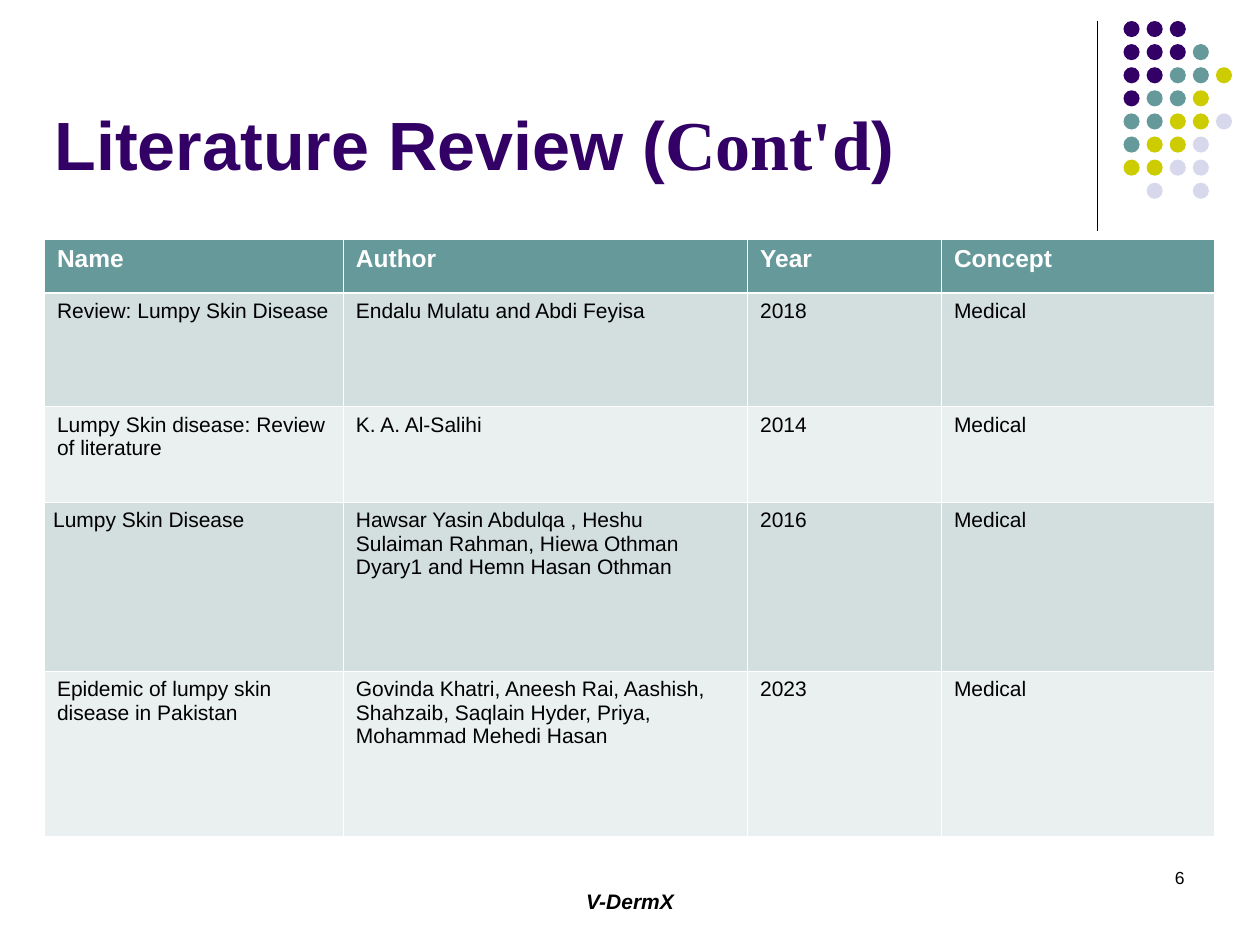
"""Build the literature review table slide."""
from lxml.etree import SubElement
from pptx import Presentation
from pptx.dml.color import RGBColor
from pptx.enum.shapes import MSO_CONNECTOR as Connector, MSO_SHAPE as Shape
from pptx.enum.text import MSO_ANCHOR as Anchor, MSO_AUTO_SIZE as AutoSize, PP_ALIGN as Align
from pptx.oxml.ns import qn
from pptx.util import Pt

PURPLE = RGBColor(0x33, 0x00, 0x66)
TEAL = RGBColor(0x66, 0x99, 0x99)
OLIVE = RGBColor(0xCC, 0xCC, 0x00)
LAVENDER = RGBColor(0xD8, 0xD8, 0xEC)
BAND_DARK = RGBColor(0xD3, 0xDE, 0xDE)
BAND_LIGHT = RGBColor(0xEA, 0xEF, 0xEF)
BLACK = RGBColor(0x00, 0x00, 0x00)
WHITE = RGBColor(0xFF, 0xFF, 0xFF)


def add_run(paragraph, text, color, **formats):
    run = paragraph.add_run()
    run.text = text
    run.font.color.rgb = color
    for name, value in {"name": "Arial", **formats}.items():
        setattr(run.font, name, value)


def add_border(cell, side, width):
    line = SubElement(cell._tc.get_or_add_tcPr(), qn(f"a:ln{side}"), w=str(Pt(width)))
    fill = SubElement(line, qn("a:solidFill"))
    SubElement(fill, qn("a:srgbClr"), val=str(WHITE))


presentation = Presentation()
presentation.slide_width, presentation.slide_height = Pt(720), Pt(540)
slide = presentation.slides.add_slide(presentation.slide_layouts[5])

divider = slide.shapes.add_connector(Connector.STRAIGHT, Pt(627), Pt(12), Pt(627), Pt(132))
divider.line.color.rgb = BLACK
divider.line.width = Pt(0.75)
SubElement(divider._element.spPr, qn("a:effectLst"))

DOT_COLORS = {"P": PURPLE, "T": TEAL, "O": OLIVE, "L": LAVENDER}
DOT_ROWS = ["PPP", "PPPT", "PPTTO", "PTTO", "TTOOL", "TOOL", "OOLL", " L L"]
DOT_PITCH, DOT_SIZE = 13.2, 9.2
dots = slide.shapes.add_group_shape()
for row, letters in enumerate(DOT_ROWS):
    for column, letter in enumerate(letters):
        if letter in DOT_COLORS:
            dot = dots.shapes.add_shape(
                Shape.OVAL, Pt(642 + column * DOT_PITCH), Pt(12 + row * DOT_PITCH), Pt(DOT_SIZE), Pt(DOT_SIZE))
            dot.shadow.inherit = False
            dot.fill.solid()
            dot.fill.fore_color.rgb = DOT_COLORS[letter]
            dot.line.fill.background()

title = slide.shapes.title
title.left, title.top, title.width, title.height = Pt(24), Pt(7.2), Pt(594), Pt(102)
title.text_frame.vertical_anchor = Anchor.BOTTOM
title.text_frame.auto_size = AutoSize.NONE
paragraph = title.text_frame.paragraphs[0]
paragraph.alignment = Align.LEFT
for text, font, size in [
    ("Literature Review (", "Arial", 39),
    ("Cont'd", "Times New Roman", 40),
    (")", "Arial", 39),
]:
    add_run(paragraph, text, PURPLE, name=font, size=Pt(size), bold=True)

FOOTERS = [
    ("V-DermX", (228, 504, 264, 24), Align.CENTER, {"size": Pt(12), "bold": True, "italic": True}),
    ("6", (516, 492, 168, 36), Align.RIGHT, {"size": Pt(10)}),
]
for text, box, alignment, formats in FOOTERS:
    footer = slide.shapes.add_textbox(*map(Pt, box))
    footer.text_frame.word_wrap = True
    paragraph = footer.text_frame.paragraphs[0]
    paragraph.alignment = alignment
    add_run(paragraph, text, BLACK, **formats)

TABLE_ROWS = [
    ("Name", "Author", "Year", "Concept"),
    ("Review: Lumpy Skin Disease", "Endalu Mulatu and Abdi Feyisa", "2018", "Medical"),
    ("Lumpy Skin disease: Review of literature", "K. A. Al-Salihi", "2014", "Medical"),
    ("Lumpy Skin Disease",
     "Hawsar Yasin Abdulqa , Heshu Sulaiman Rahman, Hiewa Othman Dyary1 and Hemn Hasan Othman",
     "2016", "Medical"),
    ("Epidemic of lumpy skin disease in Pakistan",
     "Govinda Khatri, Aneesh Rai, Aashish, Shahzaib, Saqlain Hyder, Priya, Mohammad Mehedi Hasan",
     "2023", "Medical"),
]
COLUMN_WIDTHS = [170.8, 231, 110.8, 156.2]
ROW_HEIGHTS = [30.8, 64.8, 54.8, 96.4, 94.4]
table = slide.shapes.add_table(
    len(ROW_HEIGHTS), len(COLUMN_WIDTHS), Pt(25.4), Pt(136.8),
    Pt(sum(COLUMN_WIDTHS)), Pt(sum(ROW_HEIGHTS))).table
for column, width in zip(table.columns, COLUMN_WIDTHS):
    column.width = Pt(width)
for row, height in zip(table.rows, ROW_HEIGHTS):
    row.height = Pt(height)

for row, texts in enumerate(TABLE_ROWS):
    header = row == 0
    fill_color = TEAL if header else (BAND_LIGHT, BAND_DARK)[row % 2]
    for column, text in enumerate(texts):
        cell = table.cell(row, column)
        for side in "LRTB":
            heavy = (row, side) in [(0, "B"), (1, "T")]
            add_border(cell, side, 1.5 if heavy else 0.45)
        cell.fill.solid()
        cell.fill.fore_color.rgb = fill_color
        add_run(cell.text_frame.paragraphs[0], text, WHITE if header else BLACK,
                size=Pt(14 if header else 12), bold=header)
table.cell(3, 0).margin_left = table.cell(3, 0).margin_right = Pt(5)

presentation.save("out.pptx")
